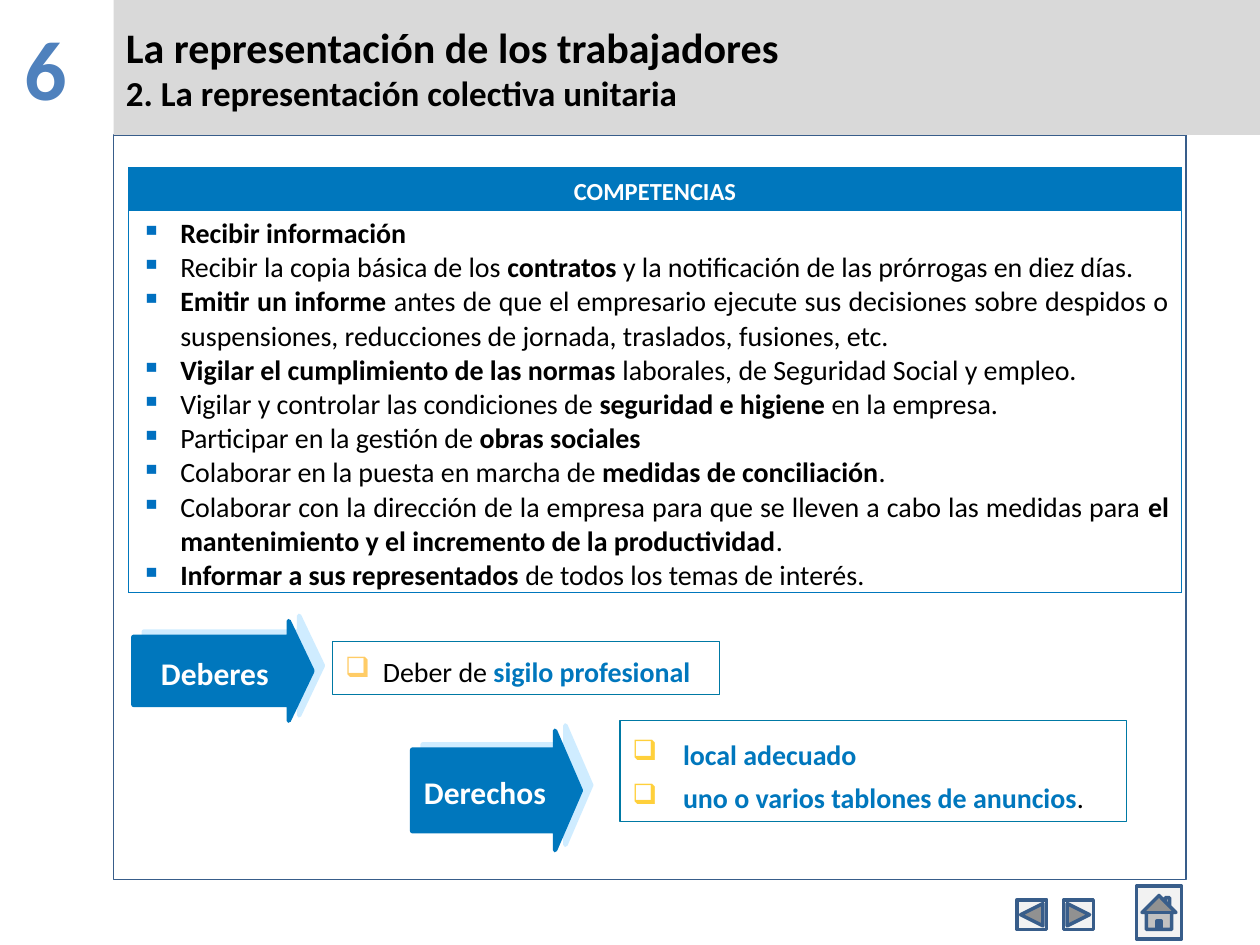
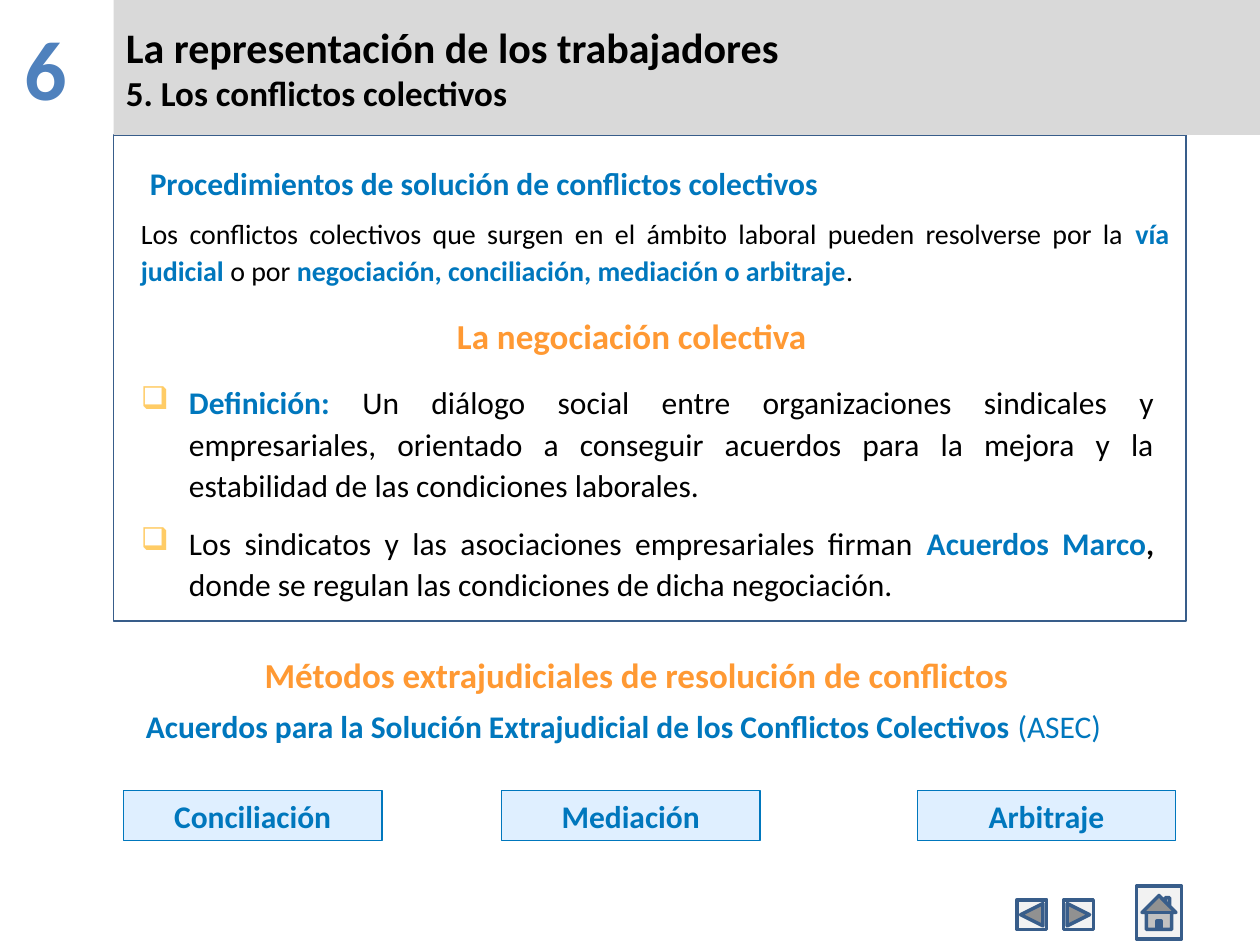
from lxml import etree
from pptx import Presentation
from pptx.dml.color import RGBColor
from pptx.enum.shapes import MSO_SHAPE
from pptx.enum.text import MSO_ANCHOR, PP_ALIGN
from pptx.oxml.ns import qn
from pptx.util import Cm, Pt

RECTANGLE = MSO_SHAPE.RECTANGLE
ARROW = MSO_SHAPE.RIGHT_ARROW
BACK = MSO_SHAPE.ACTION_BUTTON_BACK_OR_PREVIOUS
FORWARD = MSO_SHAPE.ACTION_BUTTON_FORWARD_OR_NEXT
HOME = MSO_SHAPE.ACTION_BUTTON_HOME
TOP, MIDDLE = MSO_ANCHOR.TOP, MSO_ANCHOR.MIDDLE
LEFT, CENTER, JUSTIFY = PP_ALIGN.LEFT, PP_ALIGN.CENTER, PP_ALIGN.JUSTIFY

FONT = "Calibri"
COLORS = {
    "black": "000000", "white": "FFFFFF", "blue": "0077BD", "teal": "0079A4",
    "orange": "FF9933", "number": "4F81BD", "navy": "385D8A", "band": "D9D9D9",
    "button": "F2F2F2", "pale": "DFEFFF", "shadow": "A1DBFF",
    "square": "0070C0", "sand": "FFCC66", "yellow": "FFD03B",
}
STYLES = {
    "plain": ("black", False), "strong": ("black", True), "key": ("blue", True),
    "soft": ("blue", False), "light": ("white", True),
    "heading": ("orange", True), "number": ("number", True),
}
INSETS = (0.25, 0.13, 0.25, 0.13)


def place(page, kind, at, fill=None, line=None, width=0.75):
    lengths = [Cm(length) for length in at]
    if kind is None:
        return page.shapes.add_textbox(*lengths)
    shape = page.shapes.add_shape(kind, *lengths)
    shape.shadow.inherit = False
    if fill:
        shape.fill.solid()
        shape.fill.fore_color.rgb = RGBColor.from_string(COLORS[fill])
    else:
        shape.fill.background()
    if line:
        shape.line.color.rgb = RGBColor.from_string(COLORS[line])
        shape.line.width = Pt(width)
    else:
        shape.line.fill.background()
    return shape


def write(frame, paras, size, align=LEFT, spacing=1, gap=0, bullet=None,
          insets=INSETS, anchor=TOP):
    frame.word_wrap = True
    frame.vertical_anchor = anchor
    frame.margin_left, frame.margin_top, frame.margin_right, frame.margin_bottom = [
        Cm(inset) for inset in insets]
    for index, spans in enumerate(paras):
        para = frame.paragraphs[0] if index == 0 else frame.add_paragraph()
        if bullet:
            symbol, color, indent = bullet
            props = para._p.get_or_add_pPr()
            props.set("marL", str(Cm(indent)))
            props.set("indent", str(-Cm(indent)))
            tint = etree.SubElement(props, qn("a:buClr"))
            etree.SubElement(tint, qn("a:srgbClr"), val=COLORS[color])
            etree.SubElement(props, qn("a:buChar"), char=symbol)
        para.alignment = align
        para.line_spacing = spacing
        para.space_before = Pt(gap if index else 0)
        for text, style, *own_size in spans:
            color, bold = STYLES[style]
            span = para.add_run()
            span.text = text
            span.font.name = FONT
            span.font.size = Pt(own_size[0] if own_size else size)
            span.font.bold = bold
            span.font.color.rgb = RGBColor.from_string(COLORS[color])


deck = Presentation()
deck.slide_width, deck.slide_height = Cm(25.4), Cm(19.05)

pages = []
for subtitle, frame_height in [("2. La representación colectiva unitaria", 15.01),
                               ("5. Los conflictos colectivos", 9.8)]:
    page = deck.slides.add_slide(deck.slide_layouts[6])
    pages.append(page)
    number = place(page, None, (0, 0, 2.29, 2.54))
    write(number.text_frame, [[("6", "number"), (" ", "strong", 54)]], 48, CENTER)
    place(page, RECTANGLE, (2.29, 2.72, 21.62, frame_height), line="navy")
    band = place(page, RECTANGLE, (2.29, 0, 23.11, 2.72), "band")
    write(band.text_frame, [[("La representación de los trabajadores", "strong", 24)],
                            [(subtitle, "strong")]], 20, anchor=MIDDLE)
    for kind, at in [(BACK, (20.5, 18.14, 0.6, 0.6)),
                     (FORWARD, (21.44, 18.14, 0.6, 0.6)),
                     (HOME, (22.91, 17.86, 0.91, 1.07))]:
        place(page, kind, at, "button", "navy", 2)

powers_page, conflicts_page = pages

powers = [
    [("Recibir información", "strong")],
    [("Recibir la copia básica de los ", "plain"), ("contratos ", "strong"),
     ("y la notificación de las prórrogas en diez días.", "plain")],
    [("Emitir un informe ", "strong"),
     ("antes de que el empresario ejecute sus decisiones sobre despidos o "
      "suspensiones, reducciones de jornada, traslados, fusiones, etc.", "plain")],
    [("Vigilar el cumplimiento de las normas", "strong"),
     (" laborales, de Seguridad Social y empleo.", "plain")],
    [("Vigilar y controlar las condiciones de ", "plain"),
     ("seguridad e higiene ", "strong"), ("en la empresa.", "plain")],
    [("Participar en la gestión de ", "plain"), ("obras sociales ", "strong")],
    [("Colaborar en la puesta en marcha de ", "plain"),
     ("medidas de conciliación", "strong"), (".", "plain")],
    [("Colaborar con la dirección de la empresa para que se lleven a cabo "
      "las medidas para ", "plain"),
     ("el mantenimiento y el incremento de la productividad", "strong"), (".", "plain")],
    [("Informar a sus representados ", "strong"),
     ("de todos los temas de interés.", "plain")],
]
table = powers_page.shapes.add_table(
    2, 1, Cm(2.59), Cm(3.38), Cm(21.23), Cm(8.56)).table
table.first_row = table.horz_banding = False
table.rows[0].height, table.rows[1].height = Cm(0.86), Cm(7.7)
header, body = table.cell(0, 0), table.cell(1, 0)
for cell in (header, body):
    for side in ("a:lnL", "a:lnR", "a:lnT", "a:lnB"):
        border = etree.SubElement(cell._tc.get_or_add_tcPr(), qn(side), w=str(Pt(0.45)))
        paint = etree.SubElement(border, qn("a:solidFill"))
        etree.SubElement(paint, qn("a:srgbClr"), val=COLORS["blue"])
    cell.margin_bottom = Cm(0)
header.fill.solid()
header.fill.fore_color.rgb = RGBColor.from_string(COLORS["blue"])
body.fill.background()
header.vertical_anchor = MIDDLE
write(header.text_frame, [[("COMPETENCIAS", "light")]], 14, CENTER, anchor=MIDDLE)
write(body.text_frame, powers, 16, JUSTIFY, bullet=("▪", "square", 0.79))

for label, at, adjustments in [
        ([("Deberes", "light")], (2.69, 12.52, 3.61, 2.01), (0.682, 0.238)),
        ([("Derechos", "light"), (" ", "light", 14)],
         (8.31, 14.73, 3.4, 2.41), (0.682, 0.216))]:
    arrow = place(powers_page, ARROW, at, "blue", "blue", 2.5)
    for index, value in enumerate(adjustments):
        arrow.adjustments[index] = value
    effects = arrow._element.spPr.find(qn("a:effectLst"))
    shadow = etree.SubElement(effects, qn("a:outerShdw"), dist=str(Pt(6.7)),
                              dir=str(333 * 60000), algn="ctr", rotWithShape="0")
    tint = etree.SubElement(shadow, qn("a:srgbClr"), val=COLORS["shadow"])
    etree.SubElement(tint, qn("a:alpha"), val="50000")
    write(arrow.text_frame, [label], 18, CENTER, 1.1,
          insets=(0.1, 0.23, 0.1, 0.23), anchor=MIDDLE)

duties = [[("Deber de ", "plain"), ("sigilo profesional", "key")]]
rights = [[("local adecuado ", "key")],
          [("uno o varios tablones de anuncios", "key"), (". ", "plain")]]
for paras, at, spacing, bullet in [
        (duties, (6.71, 12.93, 7.8, 1.07), 1.2, ("❑", "sand", 0.76)),
        (rights, (12.5, 14.53, 10.21, 2.03), 1.3, ("❑", "yellow", 1.02))]:
    box = place(powers_page, RECTANGLE, at, line="teal")
    write(box.text_frame, paras, 16, JUSTIFY, spacing, bullet=bullet)

box = place(conflicts_page, None, (2.77, 3.18, 16.66, 1.02))
write(box.text_frame,
      [[("Procedimientos de solución de conflictos colectivos", "key")]], 18)

box = place(conflicts_page, None, (2.59, 4.17, 21.23, 2.21))
write(box.text_frame, [[
    ("Los conflictos colectivos que surgen en el ámbito laboral pueden "
     "resolverse por la ", "plain"),
    ("vía judicial", "key"), (" o por ", "plain"),
    ("negociación, conciliación, mediación o arbitraje", "key"), (".", "plain"),
]], 16, JUSTIFY, 1.1)

for heading, top, height in [
        ([("La negociación colectiva", "heading"), (" ", "plain", 24)], 5.92, 1.32),
        ([("Métodos extrajudiciales de resolución de conflictos", "heading")],
         12.93, 1.12)]:
    box = place(conflicts_page, None, (0, top, 25.4, height))
    write(box.text_frame, [heading], 20, CENTER, 1.25, insets=(0.51, 0.03, 0.25, 0.03))

box = place(conflicts_page, None, (2.59, 7.52, 20.93, 10.59))
write(box.text_frame, [
    [("Definición:", "key"),
     (" Un diálogo social entre organizaciones sindicales y empresariales, "
      "orientado a conseguir acuerdos para la mejora y la estabilidad de las "
      "condiciones laborales.", "plain")],
    [("Los sindicatos y las asociaciones empresariales firman ", "plain"),
     ("Acuerdos Marco", "key"), (",", "strong"),
     (" donde se regulan las condiciones de dicha negociación.", "plain")],
], 18, JUSTIFY, 1.1, 9, ("❑", "sand", 0.97))

box = place(conflicts_page, None, (2.69, 14.12, 20.4, 1.19))
write(box.text_frame, [[
    ("Acuerdos para la Solución Extrajudicial de los Conflictos Colectivos ", "key"),
    ("(ASEC) ", "soft"),
]], 18, JUSTIFY)

for method, left in [("Conciliación", 2.49), ("Mediación", 10.11), ("Arbitraje", 18.49)]:
    box = place(conflicts_page, RECTANGLE, (left, 15.93, 5.21, 1.02), "pale", "blue")
    write(box.text_frame, [[(method, "key")]], 18, CENTER, anchor=MIDDLE)

deck.save("out.pptx")
